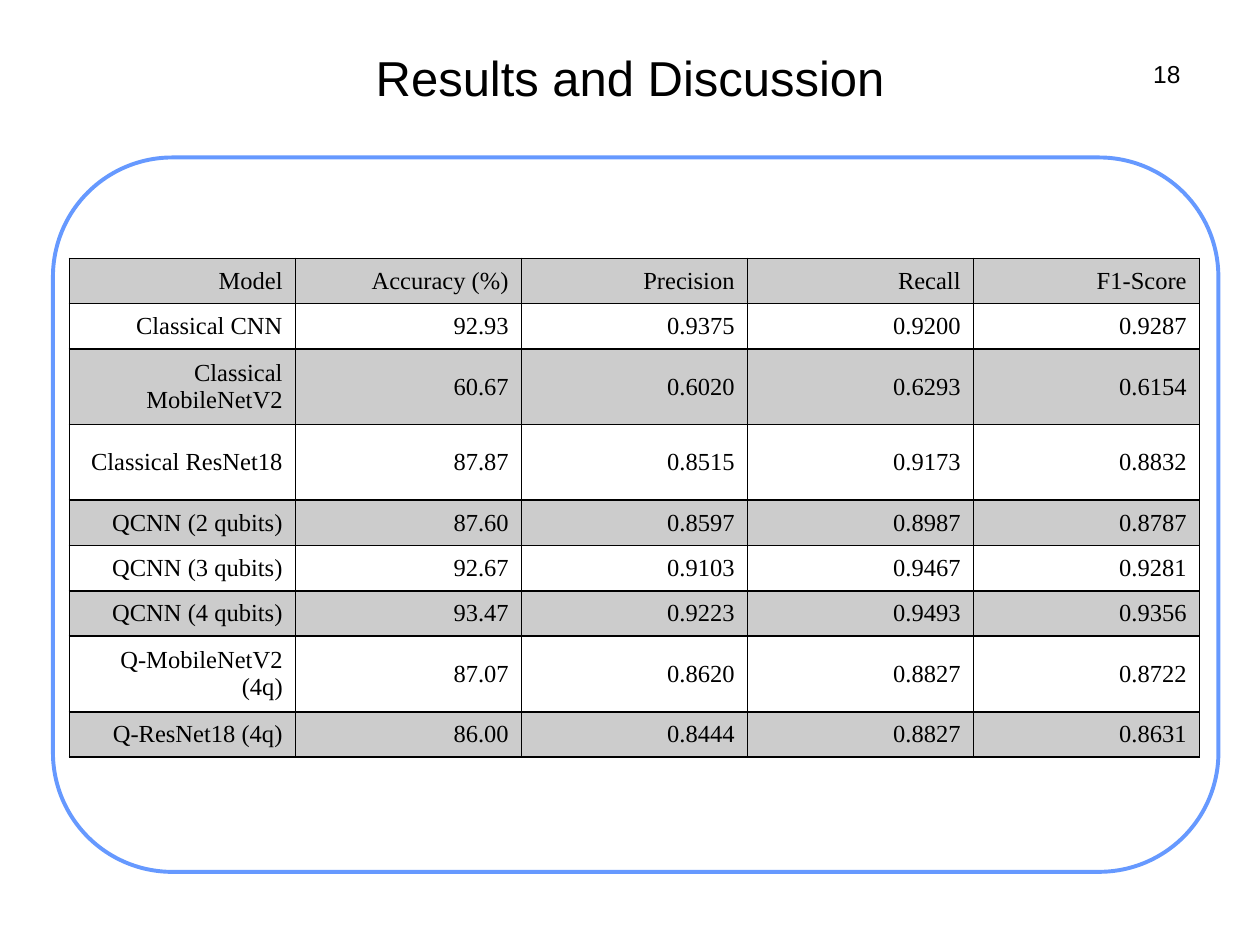
from lxml.etree import SubElement as Sub
from pptx import Presentation
from pptx.dml.color import RGBColor as Rgb
from pptx.enum.shapes import MSO_SHAPE as Kind
from pptx.enum.text import MSO_ANCHOR as Anchor, MSO_AUTO_SIZE as Fit, PP_ALIGN as Align
from pptx.oxml.ns import qn
from pptx.util import Inches, Pt

BLACK, WHITE, BLUE = "000000", "FFFFFF", "6699FF"
SANS, SERIF = "Arial", "Times New Roman"
COLS, ROWS = 20, 15
LOW, HIGH = 0.72, 1.2

DATA = [
    (LOW, "Model", "Accuracy (%)", "Precision", "Recall", "F1-Score"),
    (LOW, "Classical CNN", "92.93", "0.9375", "0.9200", "0.9287"),
    (HIGH, "Classical MobileNetV2", "60.67", "0.6020", "0.6293", "0.6154"),
    (HIGH, "Classical ResNet18", "87.87", "0.8515", "0.9173", "0.8832"),
    (LOW, "QCNN (2 qubits)", "87.60", "0.8597", "0.8987", "0.8787"),
    (LOW, "QCNN (3 qubits)", "92.67", "0.9103", "0.9467", "0.9281"),
    (LOW, "QCNN (4 qubits)", "93.47", "0.9223", "0.9493", "0.9356"),
    (HIGH, "Q-MobileNetV2 (4q)", "87.07", "0.8620", "0.8827", "0.8722"),
    (LOW, "Q-ResNet18 (4q)", "86.00", "0.8444", "0.8827", "0.8631"),
]


def tint(text):
    return Rgb.from_string(text)


class Deck:
    def __init__(self):
        self.file = Presentation()
        self.file.slide_width, self.file.slide_height = Inches(10), Inches(7.5)
        self.unit_x = self.file.slide_width / COLS
        self.unit_y = self.file.slide_height / ROWS
        self.slide = self.file.slides.add_slide(self.file.slide_layouts[5])
        self.shapes = self.slide.shapes

    def box(self, x, y, wide, high):
        return (round(x * self.unit_x), round(y * self.unit_y),
                round(wide * self.unit_x), round(high * self.unit_y))

    def put(self, frame, text, size, face, align):
        frame.text = text
        para = frame.paragraphs[0]
        para.alignment = align
        para.font.size, para.font.name = Pt(size), face
        para.font.color.rgb = tint(BLACK)

    def inset(self, frame):
        frame.margin_left = frame.margin_right = Inches(0.05)
        frame.margin_top = frame.margin_bottom = Inches(0.05)

    def panel(self, *area):
        shape = self.shapes.add_shape(Kind.ROUNDED_RECTANGLE, *self.box(*area))
        shape.adjustments[0] = 0.167
        shape.shadow.inherit = False
        shape.fill.solid()
        shape.fill.fore_color.rgb = tint(WHITE)
        shape.line.color.rgb = tint(BLUE)
        shape.line.width = Pt(2.25)

    def label(self, text, *area):
        frame = self.shapes.add_textbox(*self.box(*area)).text_frame
        self.inset(frame)
        frame.word_wrap, frame.auto_size = False, Fit.SHAPE_TO_FIT_TEXT
        self.put(frame, text, 14, SANS, Align.RIGHT)

    def title(self, text, *area):
        shape = self.shapes.title
        shape.left, shape.top, shape.width, shape.height = self.box(*area)
        shape.element.getparent().append(shape.element)
        frame = shape.text_frame
        self.inset(frame)
        frame.word_wrap, frame.vertical_anchor = True, Anchor.MIDDLE
        self.put(frame, text, 28, SANS, Align.CENTER)

    def edge(self, cell):
        props = cell._tc.get_or_add_tcPr()
        for side in ("lnL", "lnR", "lnT", "lnB"):
            line = Sub(props, qn("a:" + side), w=str(Pt(1)))
            fill = Sub(line, qn("a:solidFill"))
            Sub(fill, qn("a:srgbClr"), val=BLACK)

    def shade(self, cell, dark):
        if not dark:
            cell.fill.background()
            return
        cell.fill.solid()
        cell.fill.fore_color.rgb = tint(BLACK)
        tone = cell._tc.tcPr.find(qn("a:solidFill")).find(qn("a:srgbClr"))
        Sub(tone, qn("a:alpha"), val="20000")

    def table(self, data, x, y, wide):
        high = sum(row[0] for row in data)
        area = self.box(x, y, wide, high)
        grid = self.shapes.add_table(len(data), len(data[0]) - 1, *area).table
        grid.first_row = grid.horz_banding = False
        for num, (tall, *texts) in enumerate(data):
            grid.rows[num].height = round(tall * self.unit_y)
            for col, text in enumerate(texts):
                cell = grid.cell(num, col)
                cell.vertical_anchor = Anchor.MIDDLE
                self.put(cell.text_frame, text, 14, SERIF, Align.RIGHT)
                self.edge(cell)
                self.shade(cell, num % 2 == 0)


def main():
    deck = Deck()
    deck.panel(0.84, 2.5, 18.5, 11.34)
    deck.label("18", 18.18, 0.84, 0.66, 0.64)
    deck.title("Results and Discussion", 1, 0.2, 18, 2.04)
    deck.table(DATA, 1.1, 4.1, 17.94)
    deck.file.save("out.pptx")


if __name__ == "__main__":
    main()
